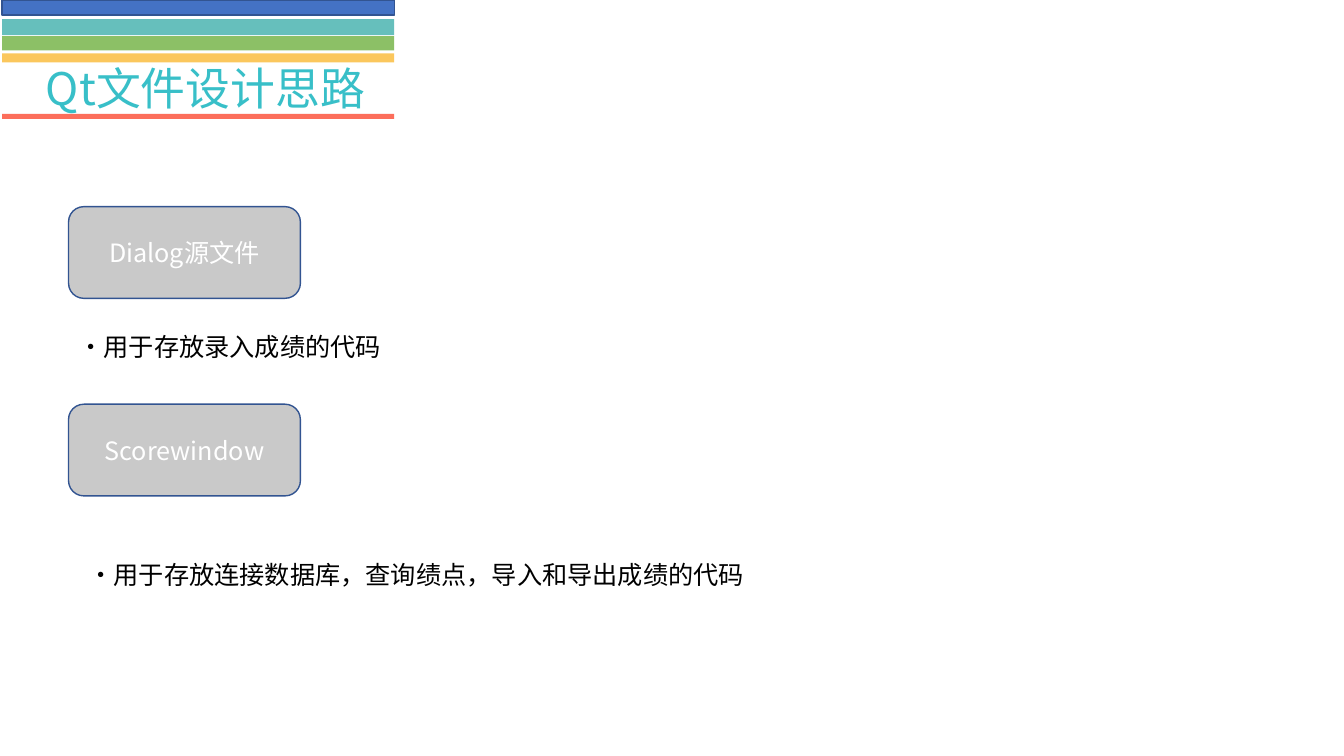
from dataclasses import dataclass

from lxml import etree
from pptx import Presentation
from pptx.dml.color import RGBColor
from pptx.enum.shapes import MSO_SHAPE
from pptx.enum.text import MSO_ANCHOR, MSO_AUTO_SIZE, PP_ALIGN
from pptx.oxml.ns import qn
from pptx.util import Inches, Pt

RECTANGLE = MSO_SHAPE.RECTANGLE
PROCESS = MSO_SHAPE.FLOWCHART_PROCESS
ROUNDED = MSO_SHAPE.ROUNDED_RECTANGLE
TOP, MIDDLE, BOTTOM = MSO_ANCHOR.TOP, MSO_ANCHOR.MIDDLE, MSO_ANCHOR.BOTTOM
LEFT, CENTER = PP_ALIGN.LEFT, PP_ALIGN.CENTER
GROW = MSO_AUTO_SIZE.SHAPE_TO_FIT_TEXT


@dataclass(frozen=True)
class Theme:
    """Colours, font and type sizes of the slide."""
    font: str = "Noto Sans CJK SC"
    title_size: int = 32
    body_size: int = 18
    title: str = "38BFC8"
    body: str = "000000"
    label: str = "FFFFFF"
    card: str = "C9C9C9"
    outline: str = "325491"
    blue: str = "4472C4"
    teal: str = "66BFBC"
    green: str = "8CC066"
    yellow: str = "FBC75D"
    red: str = "FC6E5B"


def write_text(box, text, *, font, size, color, align=LEFT, anchor=TOP, spacing=None, wrap=True):
    """Write one formatted paragraph into a box."""
    frame = box.text_frame
    frame.word_wrap = wrap
    frame.vertical_anchor = anchor
    para = frame.paragraphs[0]
    para.alignment = align
    if spacing:
        para.line_spacing = spacing
    span = para.add_run()
    span.text = text
    span.font.size = Pt(size)
    span.font.color.rgb = RGBColor.from_string(color)
    span.font.name = font
    east_asian = etree.SubElement(span.font._element, qn("a:ea"))
    east_asian.set("typeface", font)


class SlideBuilder:
    """Draws the elements of one slide in one theme."""

    def __init__(self, page, theme):
        """Keep the page and its theme."""
        self.page = page
        self.theme = theme

    def shape(self, kind, left, top, width, height, fill, outlined=False):
        """Add a filled shape with an optional outline."""
        box = self.page.shapes.add_shape(
            kind, Inches(left), Inches(top), Inches(width), Inches(height))
        box.shadow.inherit = False
        box.fill.solid()
        box.fill.fore_color.rgb = RGBColor.from_string(fill)
        if outlined:
            box.line.color.rgb = RGBColor.from_string(self.theme.outline)
            box.line.width = Pt(1)
        else:
            box.line.fill.background()
        return box

    def stripe(self, top, height, fill, kind=RECTANGLE, outlined=False):
        """Add one stripe of the heading."""
        self.shape(kind, 0.02, top, 3.89, height, fill, outlined)

    def title(self, text):
        """Add the slide title."""
        box = self.page.shapes.add_textbox(
            Inches(0.26), Inches(0.28), Inches(3.56), Inches(0.91))
        write_text(box, text, font=self.theme.font, size=self.theme.title_size,
                   color=self.theme.title, align=CENTER, anchor=BOTTOM, spacing=0.9)

    def card(self, top, text):
        """Add a rounded card naming a source file."""
        box = self.shape(ROUNDED, 0.68, top, 2.3, 0.91, self.theme.card, outlined=True)
        write_text(box, text, font=self.theme.font, size=self.theme.body_size,
                   color=self.theme.label, align=CENTER, anchor=MIDDLE)

    def note(self, left, top, width, text, wrap=True):
        """Add a line describing a source file."""
        box = self.page.shapes.add_textbox(
            Inches(left), Inches(top), Inches(width), Inches(0.4))
        write_text(box, text, font=self.theme.font, size=self.theme.body_size,
                   color=self.theme.body, wrap=wrap)
        box.text_frame.auto_size = GROW


def main():
    """Build the slide and save it."""
    deck = Presentation()
    deck.slide_width, deck.slide_height = Inches(13.33), Inches(7.5)
    theme = Theme()
    builder = SlideBuilder(deck.slides.add_slide(deck.slide_layouts[6]), theme)

    builder.title("Qt文件设计思路")
    builder.stripe(0, 0.15, theme.blue, kind=PROCESS, outlined=True)
    for top, height, fill in (
        (0.19, 0.16, theme.teal),
        (0.36, 0.14, theme.green),
        (0.53, 0.09, theme.yellow),
        (1.13, 0.05, theme.red),
    ):
        builder.stripe(top, height, fill)

    builder.card(2.05, "Dialog源文件")
    builder.note(0.68, 3.24, 6.67, "·用于存放录入成绩的代码")
    builder.card(4.01, "Scorewindow")
    builder.note(0.78, 5.5, 6.77, "·用于存放连接数据库，查询绩点，导入和导出成绩的代码", wrap=False)

    deck.save("out.pptx")


if __name__ == "__main__":
    main()
